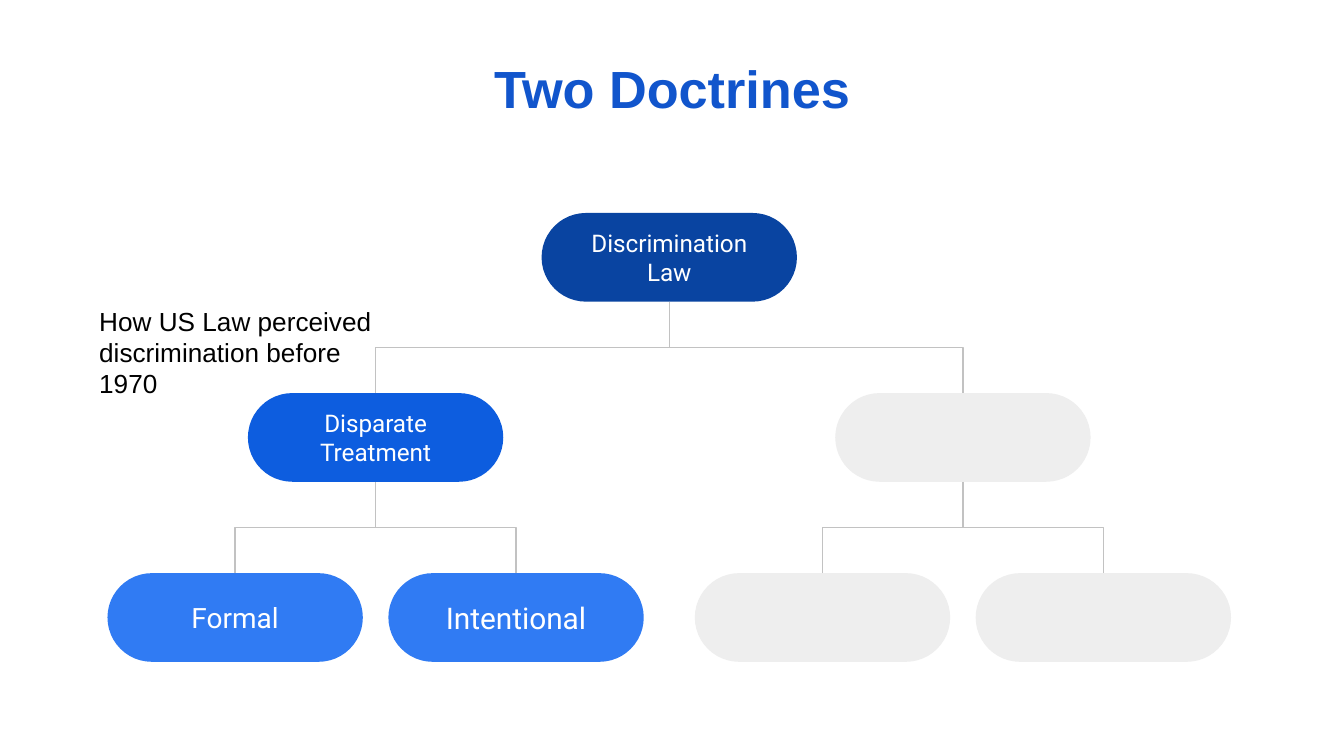
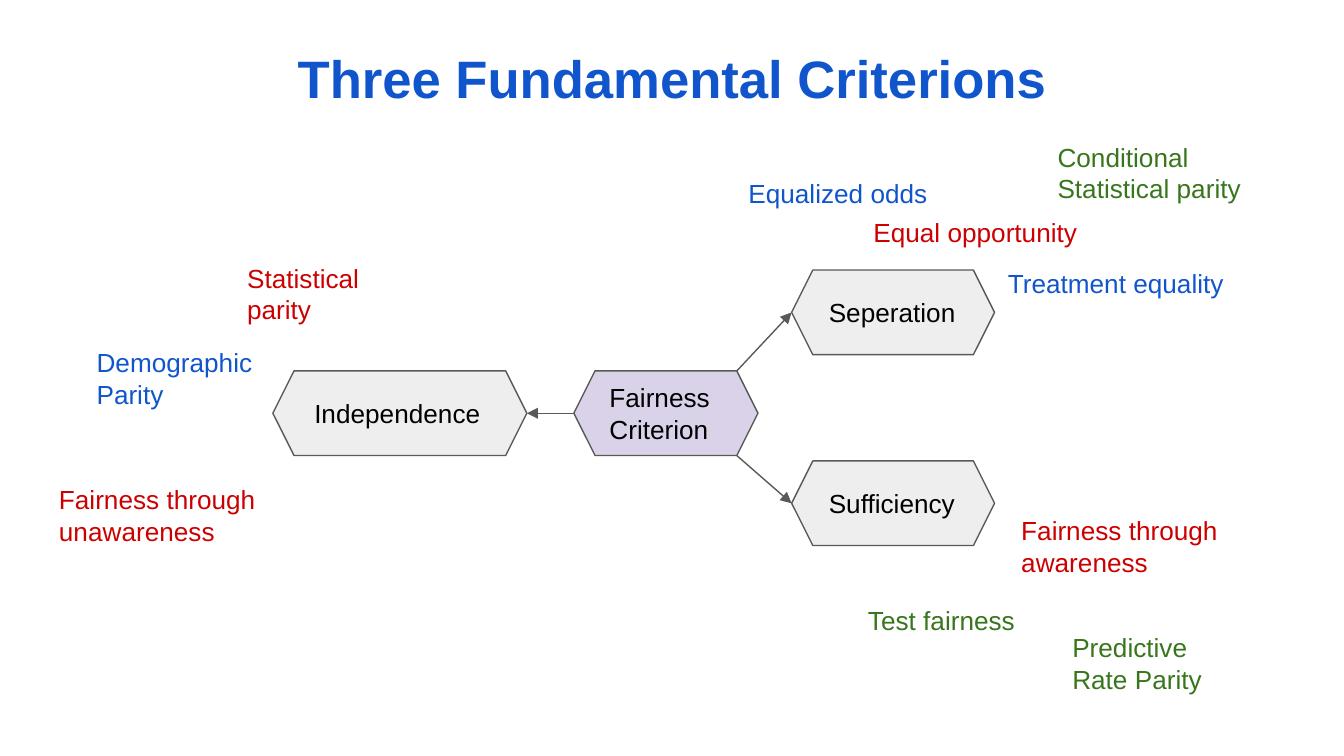
from dataclasses import dataclass

from lxml.etree import SubElement
from pptx import Presentation
from pptx.dml.color import RGBColor
from pptx.enum.shapes import MSO_CONNECTOR as Connector, MSO_SHAPE as Shape
from pptx.enum.text import MSO_ANCHOR as Anchor, MSO_AUTO_SIZE as AutoSize, PP_ALIGN as Align
from pptx.oxml.ns import qn
from pptx.util import Emu, Pt

TREE_TITLE = "Two Doctrines"
TREE_NOTE = ("How US Law perceived discrimination before 1970", 64, 217, 243, 91)
MUTED_LEAF = ("", "muted", 16, [])
TREE = ("Discrimination Law", "root", 13, [
    ("Disparate Treatment", "branch", 13, [
        ("Formal", "leaf", 15, []),
        ("Intentional", "leaf", 16, []),
    ]),
    ("", "muted", 14, [MUTED_LEAF, MUTED_LEAF]),
])
LEAF_CENTERS = [175, 384, 612, 821]
NODE_WIDTH, NODE_HEIGHT = 190, 66
TREE_TOP, LEVEL_STEP = 158.5, 134

CRITERIA_TITLE = "Three Fundamental Criterions"
HEXAGON_HEIGHT = 63
HEXAGON_INSET = HEXAGON_HEIGHT / 4
HUB = ("Fairness Criterion", 427, 276, 137)
CRITERIA = [
    ("Independence", 203, 276, 189),
    ("Seperation", 589, 201, 151),
    ("Sufficiency", 589, 343, 151),
]
LABEL_HEIGHTS = {1: 44, 2: 67}
LABELS = [
    ("Equal opportunity", "red", 640, 151, 189, 1),
    ("Demographic Parity", "blue", 62, 248, 151, 2),
    ("Fairness through awareness", "red", 750, 373, 189, 2),
    ("Fairness through unawareness", "red", 34, 350, 189, 2),
    ("Treatment equality", "blue", 740, 189, 189, 1),
    ("Test fairness", "green", 636, 440, 189, 1),
    ("Statistical\nparity", "red", 174, 185, 125, 2),
    ("Conditional Statistical parity", "green", 777, 95, 189, 2),
    ("Equalized odds", "blue", 547, 122, 189, 1),
    ("Predictive Rate Parity", "green", 788, 460, 151, 2),
]


@dataclass(frozen=True)
class Theme:
    blue: str = "1155CC"
    red: str = "CC0000"
    green: str = "38761D"
    black: str = "000000"
    white: str = "FFFFFF"
    root: str = "0944A1"
    branch: str = "0D5DDF"
    leaf: str = "307BF3"
    muted: str = "EEEEEE"
    hub: str = "D9D2E9"
    outline: str = "595959"
    branch_line: str = "C2C2C2"
    body_font: str = "Arial"
    node_font: str = "Roboto"
    body_size: float = 14
    line_width: float = 0.75


THEME = Theme()


def px(value):
    return Emu(round(value * 9144))


def rgb(name):
    return RGBColor.from_string(getattr(THEME, name))


def write(box, text, color="black", size=THEME.body_size, font=THEME.body_font,
          bold=False, align=Align.LEFT, anchor=Anchor.TOP, grow=False):
    frame = box.text_frame
    frame.word_wrap = True
    frame.vertical_anchor = anchor
    frame.auto_size = AutoSize.SHAPE_TO_FIT_TEXT if grow else AutoSize.NONE
    frame.margin_left = frame.margin_right = frame.margin_top = frame.margin_bottom = px(10)
    frame.text = text
    for para in frame.paragraphs:
        para.alignment = align
        for span in para.runs:
            span.font.name = font
            span.font.size = Pt(size)
            span.font.bold = bold
            span.font.color.rgb = rgb(color)


def add_text(page, text, left, top, width, height, **style):
    box = page.shapes.add_textbox(px(left), px(top), px(width), px(height))
    write(box, text, **style)


def add_title(page, text, top, size):
    add_text(page, text, 34, top, 932, 63, color="blue", size=size, bold=True, align=Align.CENTER)


def add_box(page, kind, text, left, top, width, height, fill, outline=None, **style):
    box = page.shapes.add_shape(kind, px(left), px(top), px(width), px(height))
    box.shadow.inherit = False
    box.fill.solid()
    box.fill.fore_color.rgb = rgb(fill)
    if outline:
        box.line.color.rgb = rgb(outline)
        box.line.width = Pt(THEME.line_width)
    else:
        box.line.fill.background()
    if text:
        write(box, text, anchor=Anchor.MIDDLE, **style)
    return box


def add_line(page, kind, start, end, color):
    line = page.shapes.add_connector(kind, *map(px, (*start, *end)))
    line.line.color.rgb = rgb(color)
    line.line.width = Pt(THEME.line_width)
    SubElement(line._element.spPr, qn("a:effectLst"))
    return line


def add_arrow(page, start, end):
    arrow = add_line(page, Connector.STRAIGHT, start, end, "outline")
    SubElement(arrow.line._get_or_add_ln(), qn("a:tailEnd"), type="triangle")


def add_branch(page, parent, child):
    (parent_x, parent_y), (child_x, child_y) = parent, child
    drop, reach = child_y - parent_y, abs(child_x - parent_x)
    left = (parent_x + child_x - drop) / 2
    top = (parent_y + child_y - reach) / 2
    branch = add_line(page, Connector.ELBOW, (left, top), (left + drop, top + reach), "branch_line")
    frame = branch._element.spPr.find(qn("a:xfrm"))
    frame.set("rot", str(270 * 60000))
    if child_x > parent_x:
        frame.set("flipH", "1")


def add_tree(page, node, centers, level=0):
    text, fill, size, children = node
    top = TREE_TOP + level * LEVEL_STEP
    child_centers = [add_tree(page, child, centers, level + 1) for child in children]
    center = sum(child_centers) / len(child_centers) if children else next(centers)
    add_box(page, Shape.ROUNDED_RECTANGLE, text, center - NODE_WIDTH / 2, top,
            NODE_WIDTH, NODE_HEIGHT, fill, color="white", size=size,
            font=THEME.node_font, align=Align.CENTER).adjustments[0] = 0.5
    for child_center in child_centers:
        add_branch(page, (center, top + NODE_HEIGHT), (child_center, top + LEVEL_STEP))
    return center


def add_hexagon(page, text, left, top, width, fill):
    add_box(page, Shape.HEXAGON, text, left, top, width, HEXAGON_HEIGHT, fill, "outline")


def build_doctrines(page):
    add_title(page, TREE_TITLE, 32, 28)
    add_tree(page, TREE, iter(LEAF_CENTERS))
    add_text(page, *TREE_NOTE, grow=True)


def build_criteria(page):
    add_title(page, CRITERIA_TITLE, 24, 28.2)
    add_hexagon(page, *HUB, "hub")
    _, hub_left, hub_top, hub_width = HUB
    corner_x = hub_left + hub_width - HEXAGON_INSET
    for text, left, top, width in CRITERIA:
        add_hexagon(page, text, left, top, width, "muted")
        middle = top + HEXAGON_HEIGHT / 2
        if left < hub_left:
            add_arrow(page, (hub_left, middle), (left + width, middle))
        else:
            corner_y = hub_top if top < hub_top else hub_top + HEXAGON_HEIGHT
            add_arrow(page, (corner_x, corner_y), (left, middle))
    for text, color, left, top, width, lines in LABELS:
        add_text(page, text, left, top, width, LABEL_HEIGHTS[lines], color=color, grow=True)


def main():
    deck = Presentation()
    deck.slide_width, deck.slide_height = px(1000), px(562.5)
    for build in (build_doctrines, build_criteria):
        build(deck.slides.add_slide(deck.slide_layouts[6]))
    deck.save("out.pptx")


if __name__ == "__main__":
    main()
